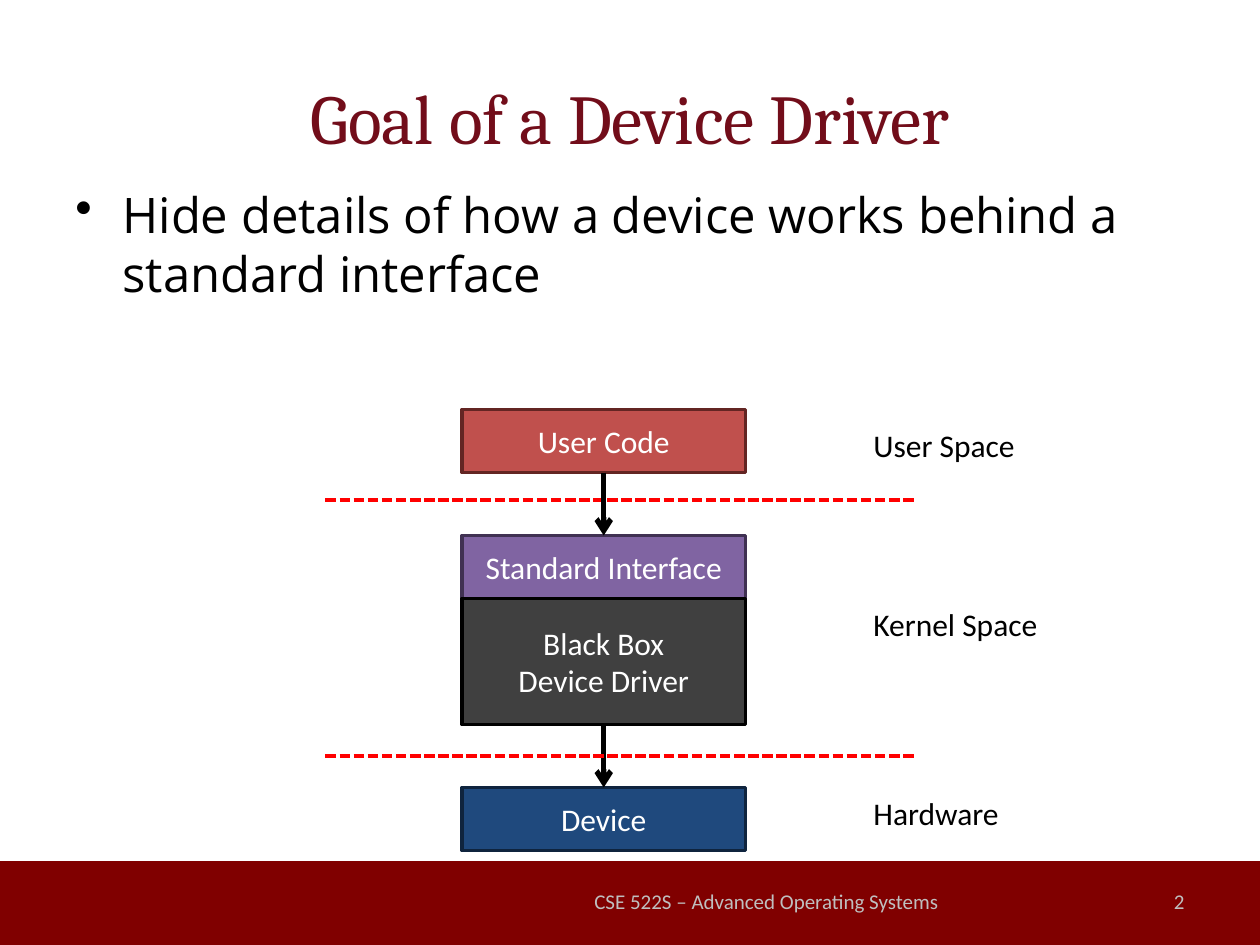
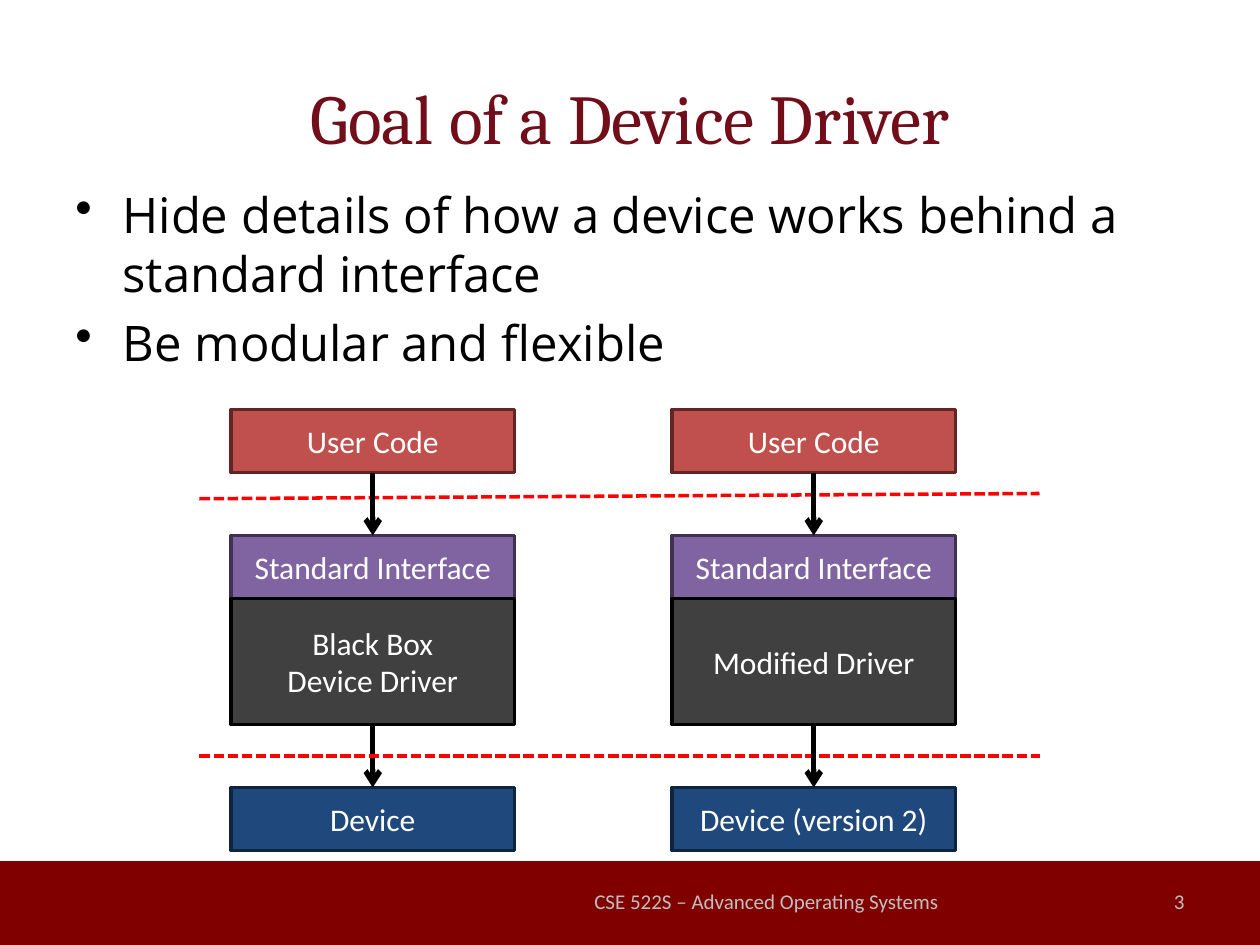
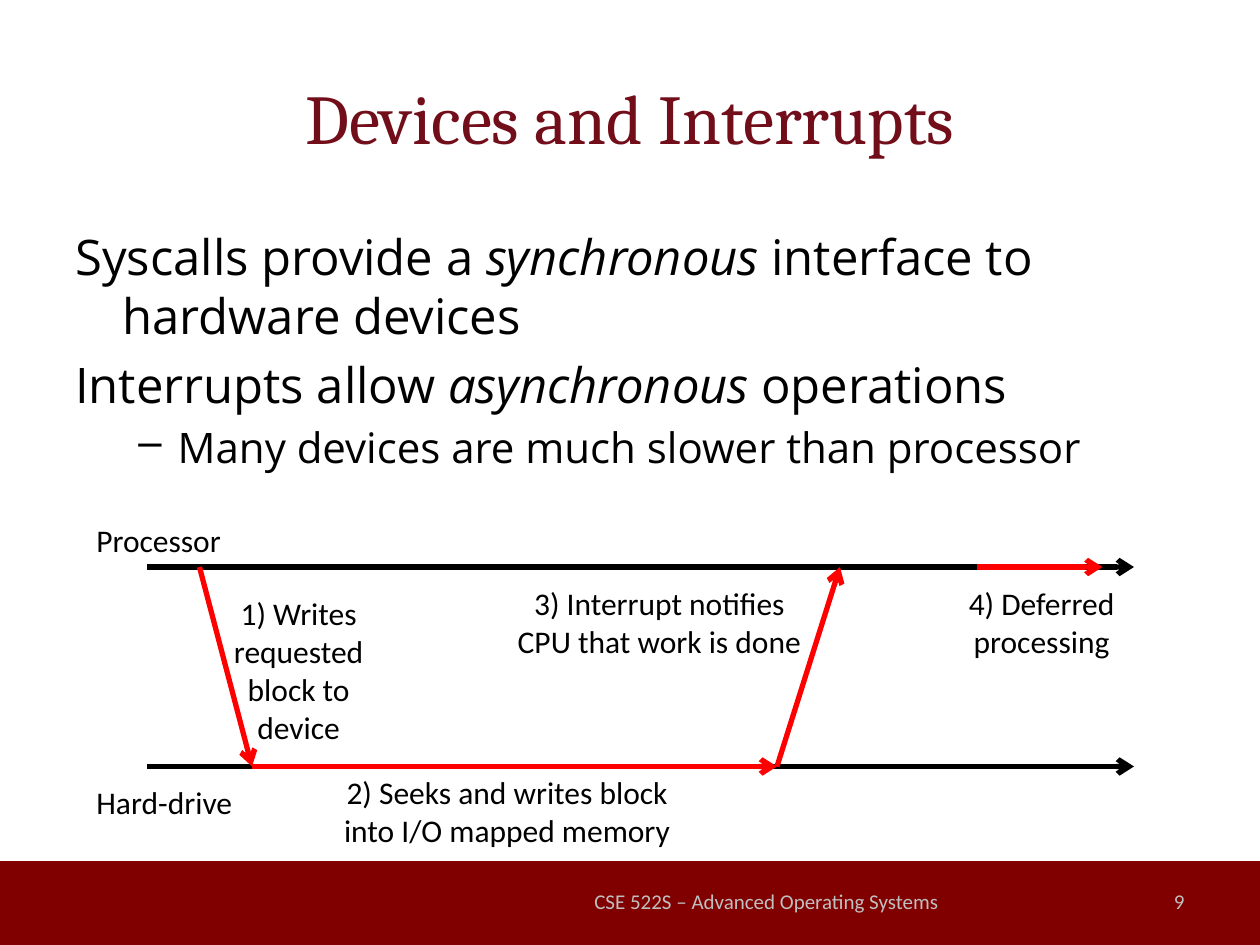
from dataclasses import dataclass
from lxml.etree import SubElement
from pptx import Presentation
from pptx.dml.color import RGBColor
from pptx.enum.dml import MSO_LINE
from pptx.enum.shapes import MSO_CONNECTOR, MSO_SHAPE
from pptx.enum.text import MSO_ANCHOR, MSO_AUTO_SIZE, PP_ALIGN
from pptx.oxml.ns import qn
from pptx.util import Inches, Pt


@dataclass(frozen=True)
class Theme:
    title_color: str = "720D1A"
    band: str = "800000"
    footer_color: str = "BFBFBF"
    ink: str = "000000"
    light: str = "FFFFFF"
    accent: str = "FF0000"
    title_font: str = "Cambria"
    body_font: str = "Open Sans"
    label_font: str = "Calibri"
    title_size: int = 40
    body_sizes: tuple = (28, 24)
    label_size: int = 18
    footer_size: int = 12
    border: int = 2
    arrow: int = 3


THEME = Theme()
SLIDE_WIDTH, SLIDE_HEIGHT = 10, 7.5
COLUMNS, ROWS = 120, 90
UNIT = Inches(SLIDE_WIDTH) / COLUMNS

COURSE = "CSE 522S – Advanced Operating Systems"
INDENTS = ((4.5, -4.5), (9.75, -3.75))
HIDE_DETAILS = (0, "•", ["Hide details of how a device works behind a standard interface"])
BE_MODULAR = (0, "•", ["Be modular and flexible"])

LAYERS = (
    (39, 6, "C0504D", "632523"),
    (51, 6, "8064A2", "403152"),
    (57, 12, "404040", "000000"),
    (75, 6, "1F497D", "0F243E"),
)
STACK_WIDTH = 27
STACK_ARROWS = ((45, 51), (69, 75))
FIRST_STACK = ("User Code", "Standard Interface", "Black Box\nDevice Driver", "Device")
SECOND_STACK = ("User Code", "Standard Interface", "Modified Driver", "Device (version 2)")

STACK_SLIDES = (
    {
        "number": 2,
        "bullets": [HIDE_DETAILS],
        "stacks": [(44, FIRST_STACK)],
        "boundaries": [(31, 47.6, 87, 47.6), (31, 72, 87, 72)],
        "spaces": [("User Space", 40, 16.1), ("Kernel Space", 57, 18.2), ("Hardware", 75, 14.5)],
    },
    {
        "number": 3,
        "bullets": [HIDE_DETAILS, BE_MODULAR],
        "stacks": [(22, FIRST_STACK), (64, SECOND_STACK)],
        "boundaries": [(19, 47.5, 99, 47), (19, 72, 99, 72)],
        "spaces": [],
    },
)

INTERRUPT_BULLETS = [
    (0, None, ["Syscalls provide a ", "synchronous", " interface to hardware devices"]),
    (0, None, ["Interrupts allow ", "asynchronous", " operations"]),
    (1, "–", ["Many devices are much slower than processor"]),
]
PROCESSOR_ROW, DRIVE_ROW = 54, 73
TIMELINES = [(14, row, 108, row) for row in (PROCESSOR_ROW, DRIVE_ROW)]
EVENTS = [
    (19, PROCESSOR_ROW, 24, DRIVE_ROW),
    (24, DRIVE_ROW, 74, DRIVE_ROW),
    (74, DRIVE_ROW, 80, PROCESSOR_ROW),
    (93, PROCESSOR_ROW, 105, PROCESSOR_ROW),
]
TIMELINE_NAMES = [("Processor", (8, 49, 14.4, 4.8)), ("Hard-drive", (8, 74, 15.5, 4.8))]
EVENT_NOTES = [
    ("1) Writes\nrequested\nblock to\ndevice", (21, 56, 14.9, 15.7)),
    ("2) Seeks and writes block\ninto I/O mapped memory", (31, 73, 34.6, 8.5)),
    ("3) Interrupt notifies\nCPU that work is done", (48, 55, 29.6, 8.5)),
    ("4) Deferred\nprocessing", (91, 55, 16.4, 8.5)),
]


def grid(*values):
    return [round(value * UNIT) for value in values]


def color(value):
    return RGBColor.from_string(value)


def add_run(paragraph, text, font, size, ink, italic=False):
    run = paragraph.add_run()
    run.text = text
    run.font.name = font
    run.font.size = Pt(size)
    run.font.color.rgb = color(ink)
    run.font.italic = italic


def write_lines(frame, text, font, size, ink, alignment):
    paragraph = frame.paragraphs[0]
    paragraph.alignment = alignment
    for index, line in enumerate(text.split("\n")):
        if index:
            paragraph.add_line_break()
        add_run(paragraph, line, font, size, ink)


def add_text(slide, text, area, font, size, ink, alignment):
    frame = slide.shapes.add_textbox(*grid(*area)).text_frame
    frame.word_wrap = True
    frame.vertical_anchor = MSO_ANCHOR.MIDDLE
    write_lines(frame, text, font, size, ink, alignment)


def add_label(slide, text, area, alignment=PP_ALIGN.LEFT):
    frame = slide.shapes.add_textbox(*grid(*area)).text_frame
    frame.word_wrap = False
    frame.auto_size = MSO_AUTO_SIZE.SHAPE_TO_FIT_TEXT
    write_lines(frame, text, THEME.label_font, THEME.label_size, THEME.ink, alignment)


def add_box(slide, area, fill, border=None, text=""):
    shape = slide.shapes.add_shape(MSO_SHAPE.RECTANGLE, *grid(*area))
    shape.shadow.inherit = False
    shape.fill.solid()
    shape.fill.fore_color.rgb = color(fill)
    if border:
        shape.line.color.rgb = color(border)
        shape.line.width = Pt(THEME.border)
    else:
        shape.line.fill.background()
    if text:
        shape.text_frame.vertical_anchor = MSO_ANCHOR.MIDDLE
        write_lines(shape.text_frame, text, THEME.label_font, THEME.label_size,
                    THEME.light, PP_ALIGN.CENTER)


def add_line(slide, ends, ink, width):
    connector = slide.shapes.add_connector(MSO_CONNECTOR.STRAIGHT, *grid(*ends))
    connector.line.color.rgb = color(ink)
    connector.line.width = Pt(width)
    SubElement(connector._element.spPr, qn("a:effectLst"))
    return connector.line


def add_arrow(slide, ends, ink):
    line = add_line(slide, ends, ink, THEME.arrow)
    SubElement(line._get_or_add_ln(), qn("a:tailEnd"), type="arrow")


def add_boundary(slide, ends):
    line = add_line(slide, ends, THEME.accent, THEME.border)
    line.dash_style = MSO_LINE.SQUARE_DOT


def add_bullets(slide, bullets, top):
    frame = slide.shapes.add_textbox(*grid(6, top, 108, 59.4)).text_frame
    frame.word_wrap = True
    for index, (level, mark, parts) in enumerate(bullets):
        paragraph = frame.add_paragraph() if index else frame.paragraphs[0]
        size = THEME.body_sizes[level]
        paragraph.level = level
        paragraph.space_before = Pt(size * 0.2)
        properties = paragraph._p.get_or_add_pPr()
        margin, indent = grid(*INDENTS[level])
        properties.set("marL", str(margin))
        properties.set("indent", str(indent))
        if mark:
            SubElement(properties, qn("a:buChar"), char=mark)
        for position, part in enumerate(parts):
            add_run(paragraph, part, THEME.body_font, size, THEME.ink, position % 2 == 1)


def add_slide(presentation, title, number, bullets, body_top):
    slide = presentation.slides.add_slide(presentation.slide_layouts[6])
    add_box(slide, (0, 82, COLUMNS, ROWS - 82), THEME.band)
    add_text(slide, title, (6, 3.6, 108, 15), THEME.title_font, THEME.title_size,
             THEME.title_color, PP_ALIGN.CENTER)
    add_bullets(slide, bullets, body_top)
    for text, left, width, alignment in (
        (COURSE, 54, 38, PP_ALIGN.CENTER),
        (str(number), 86, 28, PP_ALIGN.RIGHT),
    ):
        add_text(slide, text, (left, 83.4, width, 4.8), THEME.label_font,
                 THEME.footer_size, THEME.footer_color, alignment)
    return slide


def add_stack(slide, left, names):
    for name, (top, height, fill, border) in zip(names, LAYERS):
        add_box(slide, (left, top, STACK_WIDTH, height), fill, border, name)
    center = left + STACK_WIDTH / 2
    for start, end in STACK_ARROWS:
        add_arrow(slide, (center, start, center, end), THEME.ink)


def build_stack_slide(presentation, content):
    slide = add_slide(presentation, "Goal of a Device Driver", content["number"],
                      content["bullets"], 17)
    for boundary, stack in zip(content["boundaries"], content["stacks"]):
        add_boundary(slide, boundary)
        add_stack(slide, *stack)
    for boundary in content["boundaries"][len(content["stacks"]):]:
        add_boundary(slide, boundary)
    for name, top, width in content["spaces"]:
        add_label(slide, name, (82, top, width, 4.8))


def build_interrupt_slide(presentation):
    slide = add_slide(presentation, "Devices and Interrupts", 9, INTERRUPT_BULLETS, 21)
    for ink, arrows in ((THEME.ink, TIMELINES), (THEME.accent, EVENTS)):
        for ends in arrows:
            add_arrow(slide, ends, ink)
    for name, area in TIMELINE_NAMES:
        add_label(slide, name, area)
    for note, area in EVENT_NOTES:
        add_label(slide, note, area, PP_ALIGN.CENTER)


def main():
    presentation = Presentation()
    presentation.slide_width = Inches(SLIDE_WIDTH)
    presentation.slide_height = Inches(SLIDE_HEIGHT)
    for content in STACK_SLIDES:
        build_stack_slide(presentation, content)
    build_interrupt_slide(presentation)
    presentation.save("out.pptx")


if __name__ == "__main__":
    main()
